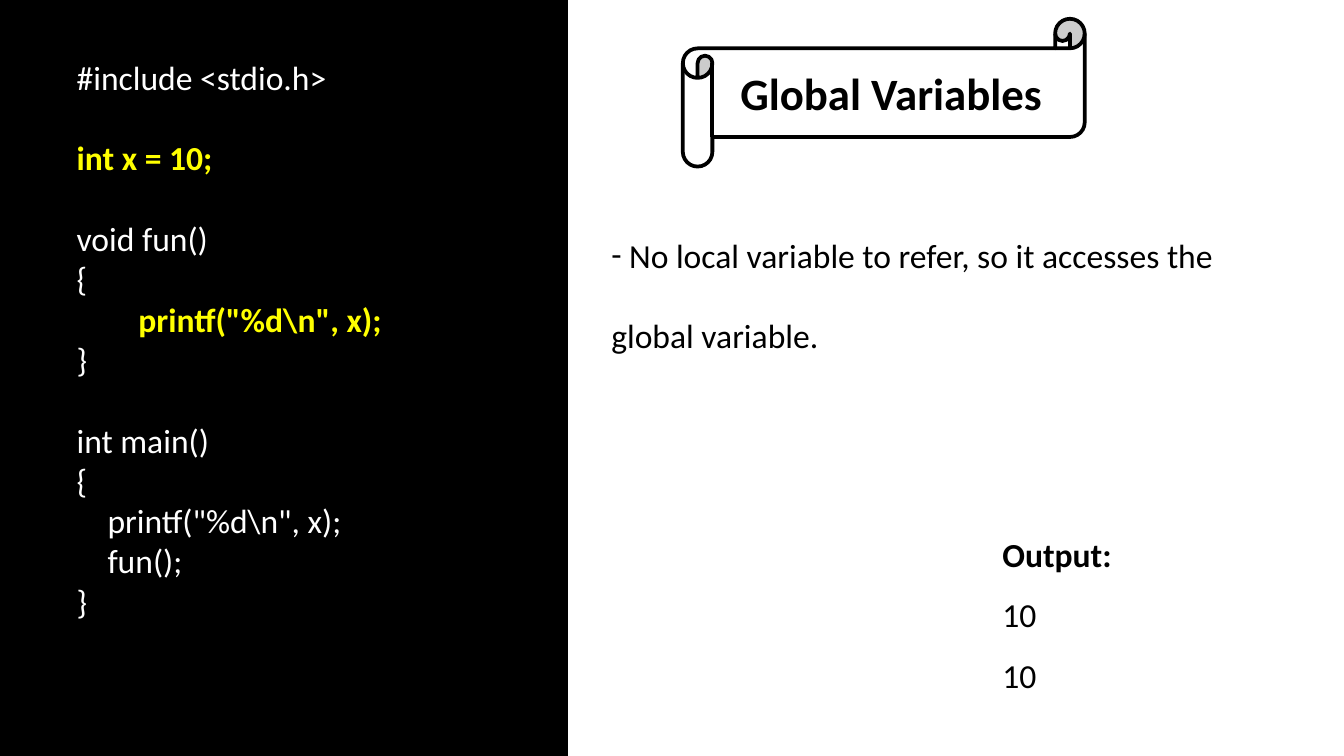
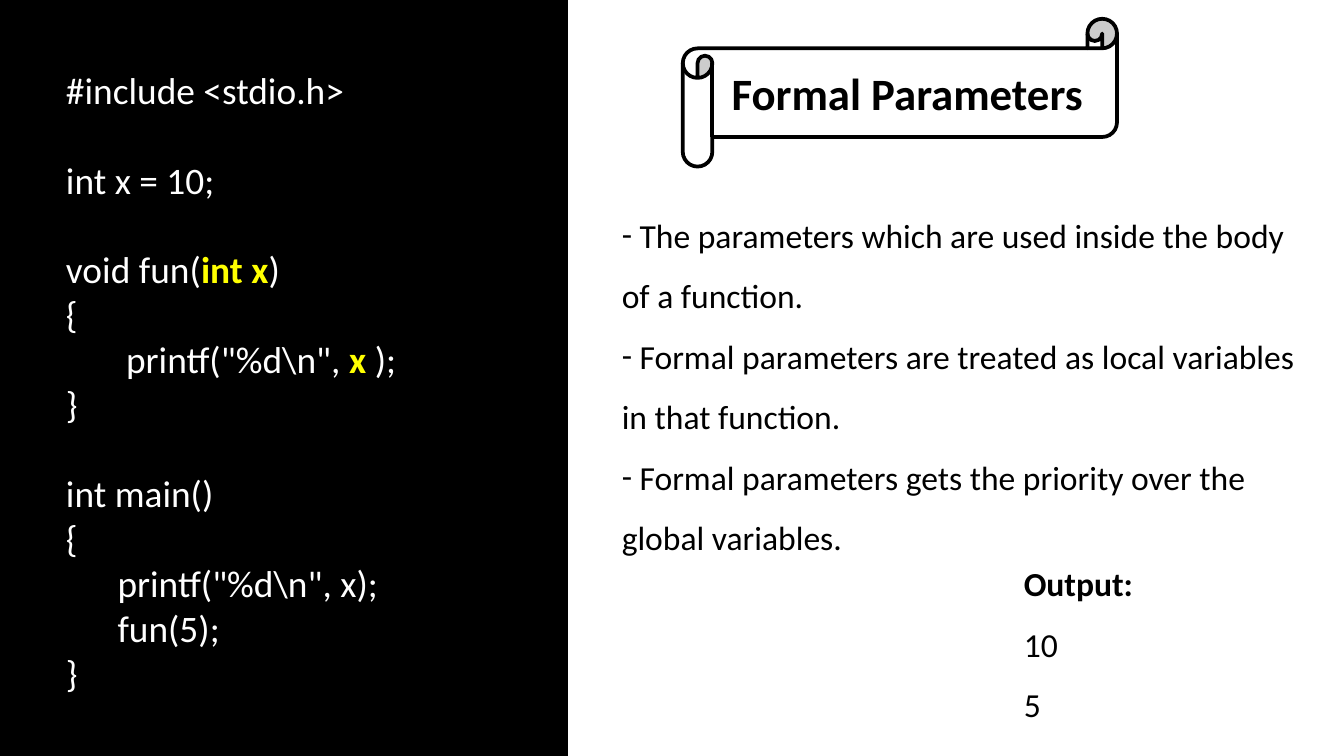
"""Build two slides on variable scope in C: global variables and formal parameters."""
from lxml import etree
from pptx import Presentation
from pptx.dml.color import RGBColor
from pptx.enum.shapes import MSO_SHAPE
from pptx.enum.text import MSO_ANCHOR, MSO_AUTO_SIZE, PP_ALIGN
from pptx.oxml.ns import qn
from pptx.util import Pt

RECT, SCROLL = MSO_SHAPE.RECTANGLE, MSO_SHAPE.HORIZONTAL_SCROLL
MIDDLE, CENTER = MSO_ANCHOR.MIDDLE, PP_ALIGN.CENTER
GROW = MSO_AUTO_SIZE.SHAPE_TO_FIT_TEXT
BLACK = RGBColor(0, 0, 0)
WHITE = RGBColor(255, 255, 255)
YELLOW = RGBColor(255, 255, 0)
FACE = "Calibri"
LINE, SPACE = 1.2, 0.23

TOPICS = [
    {
        "title": "Global Variables", "width": 215.3,
        "code": ["#include <stdio.h>", "", "|int x = 10;|", "", "void fun()", "{",
                 '        |printf("%d\\n", x);|', "}", "", "int main()", "{",
                 '    printf("%d\\n", x);', "    fun();", "}"],
        "size": 18, "code box": (34, 26.8, 247, 312.5),
        "notes": [" No local variable to refer, so it accesses the global variable."],
        "gap": 2.0, "note box": (320.4, 100.6, 368.6, 138.2),
        "output": ["10", "10"], "out box": (529.9, 271.6, 75, 105.1),
    },
    {
        "title": "Formal Parameters", "width": 232.6,
        "code": ["#include <stdio.h>", "", "int x = 10;", "", "void fun(|int x|)", "{",
                 '       printf("%d\\n", |x| );', "}", "", "int main()", "{",
                 '      printf("%d\\n", x);', "      fun(5);", "}"],
        "size": 20, "code box": (28.3, 32.4, 247, 346.3),
        "notes": [" The parameters which are used inside the\u00a0body of a function.",
                  " Formal parameters are treated as local variables in that function.",
                  " Formal parameters gets the priority over the global variables."],
        "gap": 1.5, "note box": (326, 100.6, 380.2, 203.8),
        "output": ["10", "5"], "out box": (541.4, 287.5, 75, 105.1),
    },
]


def add_box(slide, box, kind=None, fill=None):
    """Add a text box, or a filled preset shape, and return it."""
    place = [Pt(n) for n in box]
    if kind is None:
        shape = slide.shapes.add_textbox(*place)
        shape.text_frame.word_wrap = True
        shape.text_frame.auto_size = GROW
        return shape
    shape = slide.shapes.add_shape(kind, *place)
    shape.shadow.inherit = False
    shape.fill.solid()
    shape.fill.fore_color.rgb = fill
    shape.line.color.rgb = BLACK
    shape.line.width = Pt(2)
    return shape


def set_font(font, size, color, bold=False):
    """Give a paragraph or run its font."""
    font.name, font.size, font.bold = FACE, Pt(size), bold
    font.color.rgb = color


deck = Presentation()
deck.slide_width, deck.slide_height = Pt(720), Pt(405)

for topic in TOPICS:
    slide = deck.slides.add_slide(deck.slide_layouts[6])
    add_box(slide, (0, 0, 303.3, 405), RECT, BLACK)

    frame = add_box(slide, topic["code box"]).text_frame
    size, blanks = topic["size"], 0
    para = frame.paragraphs[0]
    for row, line in enumerate(topic["code"]):
        if not line:
            blanks += 1
            continue
        if row:
            para = frame.add_paragraph()
        text = line.lstrip()
        props = para._p.get_or_add_pPr()
        props.set("marL", str(Pt(SPACE * size * (len(line) - len(text)))))
        props.set("indent", "0")
        para.space_before = Pt(LINE * size * blanks)
        blanks = 0
        parts = [(part, i % 2) for i, part in enumerate(text.split("|")) if part]
        for part, hot in parts:
            run = para.add_run()
            run.text = part
            if len(parts) > 1:
                set_font(run.font, size, YELLOW if hot else WHITE, bool(hot))
        if len(parts) == 1:
            set_font(para.font, size, YELLOW if hot else WHITE, bool(hot))

    scroll = add_box(slide, (365.8, 10.1, topic["width"], 79.2), SCROLL, WHITE)
    scroll.adjustments[0] = 0.2
    scroll.text_frame.vertical_anchor = MIDDLE
    para = scroll.text_frame.paragraphs[0]
    para.text, para.alignment = topic["title"], CENTER
    set_font(para.font, 24, BLACK, True)

    frame = add_box(slide, topic["note box"]).text_frame
    frame.text = "\n".join(topic["notes"])
    for para in frame.paragraphs:
        props = para._p.get_or_add_pPr()
        etree.SubElement(props, qn("a:buFont")).set("typeface", FACE)
        etree.SubElement(props, qn("a:buChar")).set("char", "-")
        para.line_spacing = topic["gap"]
        set_font(para.font, 18, BLACK)

    frame = add_box(slide, topic["out box"]).text_frame
    frame.word_wrap = False
    frame.text = "\n".join(["Output:"] + topic["output"])
    for row, para in enumerate(frame.paragraphs):
        para.line_spacing = 1.5
        set_font(para.font, 18, BLACK, row == 0)

deck.save("out.pptx")
